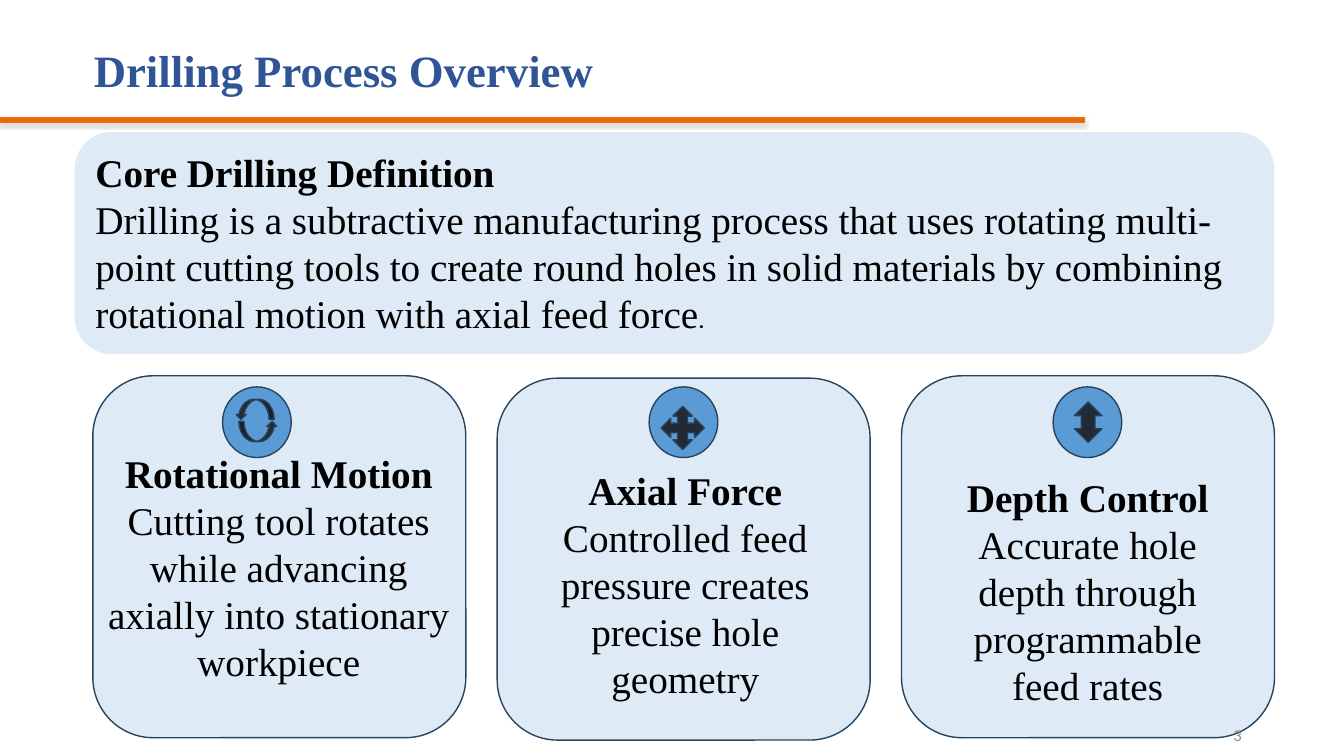
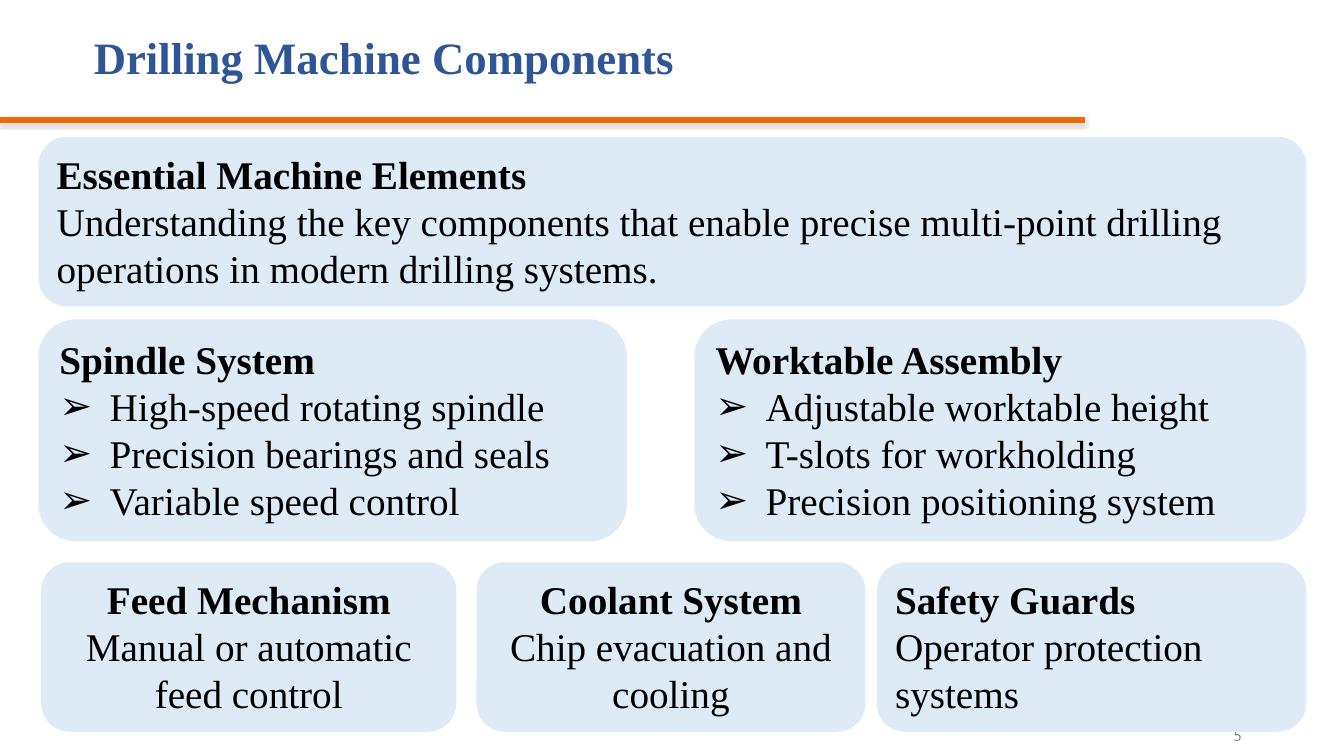
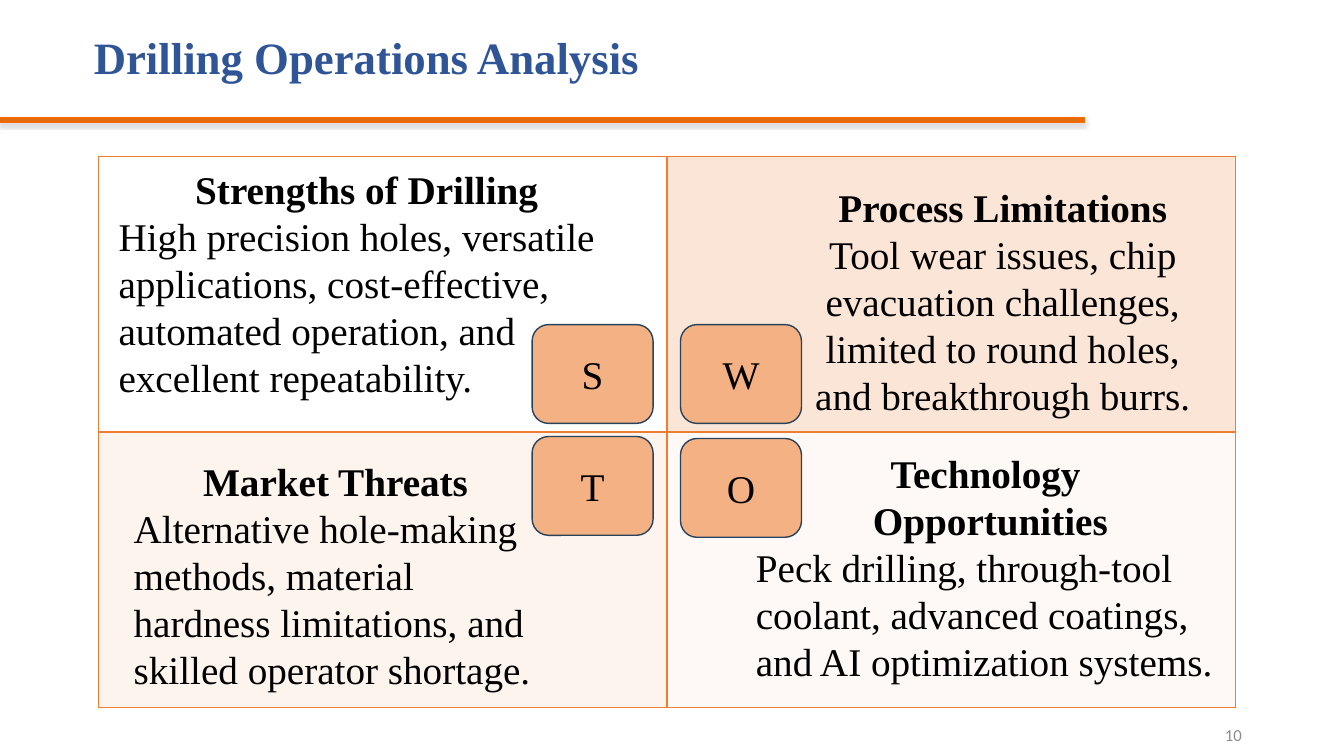
from lxml.etree import SubElement
from pptx import Presentation
from pptx.dml.color import RGBColor
from pptx.enum.shapes import MSO_SHAPE
from pptx.enum.text import MSO_ANCHOR, MSO_AUTO_SIZE, PP_ALIGN
from pptx.oxml.ns import qn
from pptx.util import Cm, Pt

COLORS = {
    "title": "2F5597", "text": "000000", "page": "8C8C8C",
    "band": "E46C0A", "band_line": "FF6600", "shadow": "808080",
    "panel": "DEEBF7", "outline": "28445D", "circle": "5B9BD5", "arrow": "222A35",
    "letter": "F4B183", "grid": "ED7D31", "peach": "FBE5D6", "apricot": "F8CBAD",
}
BODY_FONT = {"name": "Times New Roman", "size": Pt(28), "bold": False, "color": "text"}
HEADING_FONT = {**BODY_FONT, "bold": True}
TITLE_FONT = {**HEADING_FONT, "size": Pt(32), "color": "title"}
PAGE_FONT = {"name": "Calibri", "size": Pt(12), "bold": False, "color": "page"}
STOP_FONT = {**PAGE_FONT, "size": Pt(18), "color": "text"}
FRAME = {"word_wrap": True, "auto_size": MSO_AUTO_SIZE.NONE, "vertical_anchor": MSO_ANCHOR.TOP}
LEFT, CENTER, RIGHT = PP_ALIGN.LEFT, PP_ALIGN.CENTER, PP_ALIGN.RIGHT
TITLE_ONLY, TWO_CONTENT = 5, 3


def rgb(color):
    return RGBColor.from_string(COLORS[color])


def set_attributes(target, values):
    for name, value in values.items():
        setattr(target, name, value)


class Deck:
    def __init__(self):
        self.presentation = Presentation()
        set_attributes(self.presentation, {"slide_width": Cm(33.87), "slide_height": Cm(19.05)})
        self.slide = None

    def add_slide(self, title, title_top=0.43, layout=TITLE_ONLY):
        layouts = self.presentation.slide_layouts
        self.slide = self.presentation.slides.add_slide(layouts[layout])
        self.band()
        shape = self.slide.shapes.title
        self.place(shape, 2.11, title_top, 20.22, 2.16)
        self.frame(shape, MSO_ANCHOR.MIDDLE)
        paragraph = self.paragraph(shape, title, TITLE_FONT, LEFT)
        paragraph.line_spacing = 0.9

    def place(self, shape, left, top, width, height):
        box = zip(("left", "top", "width", "height"), (left, top, width, height))
        set_attributes(shape, {name: Cm(value) for name, value in box})

    def frame(self, shape, anchor=MSO_ANCHOR.TOP):
        set_attributes(shape.text_frame, {**FRAME, "vertical_anchor": anchor})

    def run(self, paragraph, text, style):
        run = paragraph.add_run()
        run.text = text
        set_attributes(run.font, {name: value for name, value in style.items() if name != "color"})
        run.font.color.rgb = rgb(style["color"])

    def paragraph(self, shape, text, style, alignment, bullet=None):
        frame = shape.text_frame
        first = frame.paragraphs[0]
        paragraph = frame.add_paragraph() if first.runs else first
        properties = paragraph._p.get_or_add_pPr()
        indent = Cm(1.27) if bullet else 0
        properties.set("marL", str(indent))
        properties.set("indent", str(-indent))
        if bullet:
            SubElement(properties, qn("a:buChar"), char=bullet)
        else:
            SubElement(properties, qn("a:buNone"))
        set_attributes(paragraph, {"alignment": alignment, "space_before": Pt(0)})
        self.run(paragraph, text, style)
        return paragraph

    def add_text(self, shape, headings, lines, alignments=(LEFT, LEFT), bullet=None):
        self.frame(shape)
        for heading in headings:
            self.paragraph(shape, heading, HEADING_FONT, alignments[0])
        for line in lines:
            self.paragraph(shape, line, BODY_FONT, alignments[1], bullet)

    def shape(self, kind, box, fill, line=None, line_width=1):
        shape = self.slide.shapes.add_shape(kind, *map(Cm, box))
        shape.shadow.inherit = False
        shape.fill.solid()
        shape.fill.fore_color.rgb = rgb(fill)
        if line:
            shape.line.color.rgb = rgb(line)
            shape.line.width = Pt(line_width)
        else:
            shape.line.fill.background()
        return shape

    def band(self):
        band = self.shape(MSO_SHAPE.RECTANGLE, (0, 2.95, 27.33, 0.13), "band", "band_line", 0.75)
        effects = band.element.spPr.find(qn("a:effectLst"))
        shadow = SubElement(effects, qn("a:outerShdw"), blurRad=str(Pt(3)),
                            dist=str(Pt(1.8)), dir="5400000", rotWithShape="0")
        color = SubElement(shadow, qn("a:srgbClr"), val=COLORS["shadow"])
        SubElement(color, qn("a:alpha"), val="35000")

    def page_number(self, number):
        shape = self.slide.shapes.add_textbox(*map(Cm, (23.93, 18.01, 7.62, 1.02)))
        self.frame(shape, MSO_ANCHOR.MIDDLE)
        self.paragraph(shape, number, PAGE_FONT, RIGHT)

    def panel(self, box, heading, line, alignment=LEFT, kind=MSO_SHAPE.ROUNDED_RECTANGLE):
        shape = self.shape(kind, box, "panel")
        self.add_text(shape, [heading], [line], (alignment, alignment))
        return shape

    def list_panel(self, index, box, heading, items):
        shape = self.slide.placeholders[index]
        self.place(shape, *box)
        geometry = SubElement(shape.element.spPr, qn("a:prstGeom"), prst="roundRect")
        SubElement(geometry, qn("a:avLst"))
        shape.fill.solid()
        shape.fill.fore_color.rgb = rgb("panel")
        self.add_text(shape, [heading], items, bullet="➢")

    def text(self, box, headings, line, alignment=LEFT):
        shape = self.slide.shapes.add_textbox(*map(Cm, box))
        self.add_text(shape, headings, [line], (CENTER, alignment))

    def letter(self, box, letter):
        shape = self.shape(MSO_SHAPE.ROUNDED_RECTANGLE, box, "letter", "outline")
        self.frame(shape, MSO_ANCHOR.MIDDLE)
        self.paragraph(shape, letter, BODY_FONT, CENTER)

    def grid(self, box, fills):
        rows, columns = len(fills), len(fills[0])
        table = self.slide.shapes.add_table(rows, columns, *map(Cm, box)).table
        set_attributes(table, {"first_row": False, "horz_banding": False})
        for row, row_fills in enumerate(fills):
            for column, (color, opacity) in enumerate(row_fills):
                cell = table.cell(row, column)
                properties = cell._tc.get_or_add_tcPr()
                widths = {"lnL": 1, "lnR": 1, "lnT": 2 if row else 1,
                          "lnB": 1 if row == rows - 1 else 2}
                for side, width in widths.items():
                    line = SubElement(properties, qn(f"a:{side}"), w=str(Pt(width)))
                    line_fill = SubElement(line, qn("a:solidFill"))
                    SubElement(line_fill, qn("a:srgbClr"), val=COLORS["grid"])
                if color is None:
                    cell.fill.background()
                    continue
                cell.fill.solid()
                cell.fill.fore_color.rgb = rgb(color)
                if opacity < 100:
                    fill = properties.find(qn("a:solidFill"))
                    SubElement(fill[0], qn("a:alpha"), val=str(opacity * 1000))


def add_overview(deck):
    deck.add_slide("Drilling Process Overview", 0.76)
    for column, top in enumerate((9.47, 9.53, 9.47)):
        deck.shape(MSO_SHAPE.ROUNDED_RECTANGLE, (2.34 + 10.19 * column, top, 9.4, 9.12),
                   "panel", "outline")
    deck.page_number("3")
    definition = deck.panel(
        (1.88, 3.33, 30.23, 5.59), "Core Drilling Definition",
        "Drilling is a subtractive manufacturing process that uses rotating multi-point cutting "
        "tools to create round holes in solid materials by combining rotational motion with "
        "axial feed force")
    deck.run(definition.text_frame.paragraphs[-1], ".", STOP_FONT)
    principles = (
        (2.44, 11.2, 9.17, "Rotational Motion",
         "Cutting tool rotates while advancing axially into stationary workpiece"),
        (13.08, 11.63, 8.38, "Axial Force",
         "Controlled feed pressure creates precise hole geometry"),
        (23.6, 11.79, 7.62, "Depth Control",
         "Accurate hole depth through programmable feed rates"),
    )
    for left, top, width, heading, line in principles:
        deck.panel((left, top, width, 6.25), heading, line, CENTER, MSO_SHAPE.RECTANGLE)
    for left in (5.61, 16.36, 26.54):
        deck.shape(MSO_SHAPE.FLOWCHART_CONNECTOR, (left, 9.75, 1.73, 1.78), "circle", "outline")
    arrows = (
        (MSO_SHAPE.UP_DOWN_ARROW, (27.08, 10.13, 0.69, 1.02), 0),
        (MSO_SHAPE.QUAD_ARROW, (16.66, 10.24, 1.09, 1.09), 0),
        (MSO_SHAPE.CURVED_UP_ARROW, (6.02, 10.62, 0.97, 0.51), 0),
        (MSO_SHAPE.CURVED_UP_ARROW, (5.94, 10.06, 0.97, 0.51), 180),
    )
    for kind, box, rotation in arrows:
        deck.shape(kind, box, "arrow", "outline").rotation = rotation


def add_components(deck):
    deck.add_slide("Drilling Machine Components", layout=TWO_CONTENT)
    deck.page_number("5")
    deck.panel((0.97, 3.45, 31.95, 4.27), "Essential Machine Elements",
               "Understanding the key components that enable precise multi-point drilling "
               "operations in modern drilling systems.")
    deck.list_panel(1, (0.97, 8.05, 14.83, 5.59), "Spindle System",
                    ("High-speed rotating spindle", "Precision bearings and seals",
                     "Variable speed control"))
    deck.list_panel(2, (17.5, 8.05, 15.42, 5.59), "Worktable Assembly",
                    ("Adjustable worktable height", "T-slots for workholding",
                     "Precision positioning system"))
    systems = (
        (1.04, 10.46, "Feed Mechanism", "Manual or automatic feed control", CENTER),
        (12.01, 9.8, "Coolant System", "Chip evacuation and cooling", CENTER),
        (22.1, 10.82, "Safety Guards", "Operator protection systems", LEFT),
    )
    for left, width, heading, line, alignment in systems:
        deck.panel((left, 14.17, width, 4.27), heading, line, alignment)


def add_analysis(deck):
    deck.add_slide("Drilling Operations Analysis")
    deck.page_number("10")
    deck.grid((2.49, 3.94, 28.64, 13.88),
              (((None, 0), ("peach", 100)), (("apricot", 20), ("peach", 20))))
    for left, top, letter in ((13.41, 8.18, "S"), (17.15, 8.18, "W"),
                              (13.41, 11, "T"), (17.15, 11.05, "O")):
        deck.letter((left, top, 3.05, 2.49), letter)
    deck.text((2.74, 4.04, 13, 7.01), ["Strengths of Drilling"],
              "High precision holes, versatile applications, cost-effective, automated "
              "operation, and excellent repeatability.")
    deck.text((19.81, 4.5, 10.92, 7.01), ["Process Limitations"],
              "Tool wear issues, chip evacuation challenges, limited to round holes, and "
              "breakthrough burrs.", CENTER)
    deck.text((3.12, 11.4, 10.67, 7.01), ["Market Threats"],
              "Alternative hole-making methods, material hardness limitations, and skilled "
              "operator shortage.")
    deck.text((18.8, 11.2, 12.32, 7.01), ["Technology ", "Opportunities"],
              "Peck drilling, through-tool coolant, advanced coatings, and AI optimization "
              "systems.")


def main():
    deck = Deck()
    for add_content in (add_overview, add_components, add_analysis):
        add_content(deck)
    deck.presentation.save("out.pptx")


if __name__ == "__main__":
    main()
